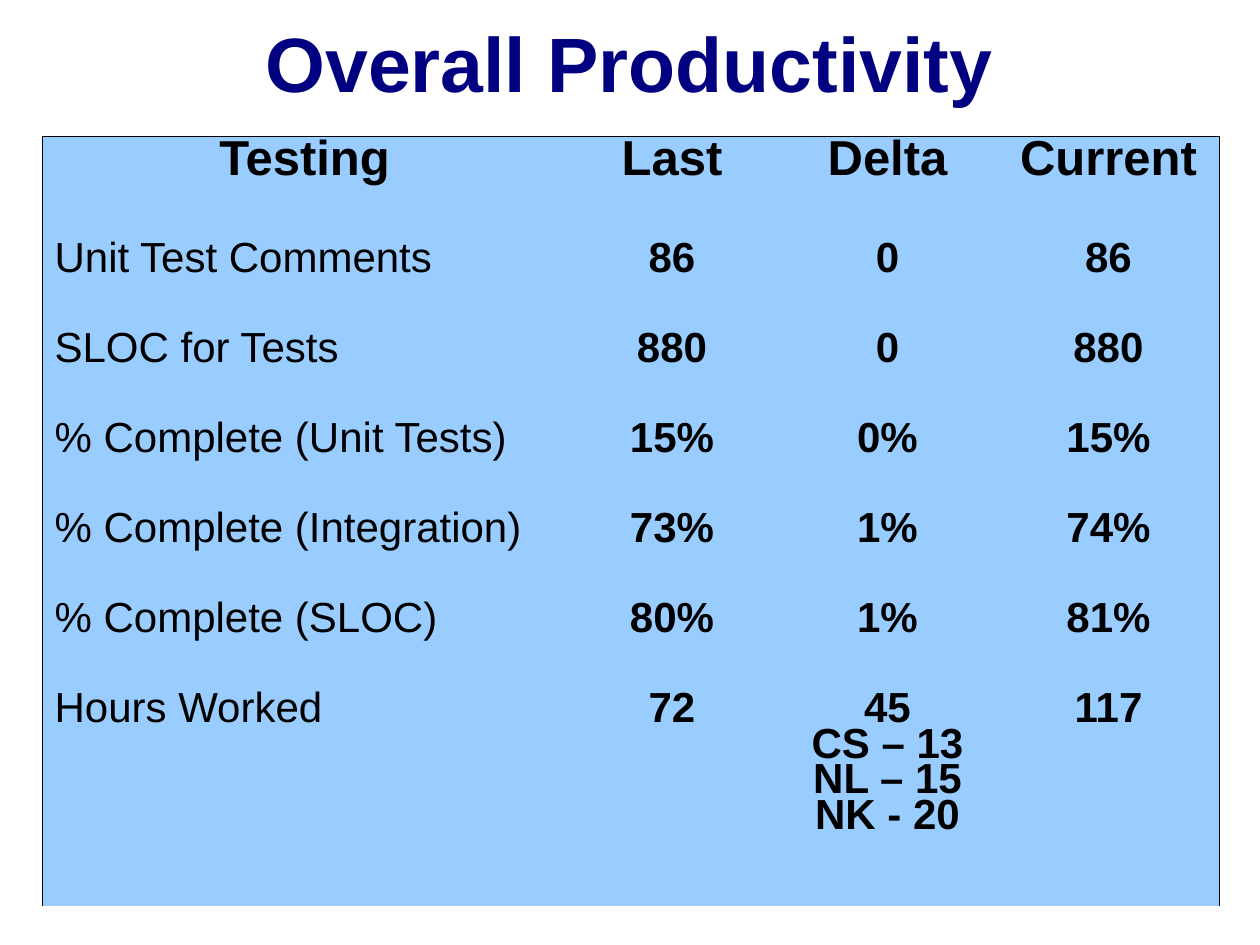
from lxml import etree
from pptx import Presentation
from pptx import util as u
from pptx.dml import color
from pptx.enum import text
from pptx.oxml import ns

SCALE = 914400 / 126
INK, NAVY, SKY = "000000", "000080", "99CCFF"
SIDES = ("L", "R", "T", "B")
COLUMN_WIDTHS = [525, 210, 221, 221]
ROW_HEIGHTS = [102] + [90] * 5 + [218]
ROWS = [
    ["Testing", "Last", "Delta", "Current"],
    ["Unit Test Comments", "86", "0", "86"],
    ["SLOC for Tests", "880", "0", "880"],
    ["% Complete (Unit Tests)", "15%", "0%", "15%"],
    ["% Complete (Integration)", "73%", "1%", "74%"],
    ["% Complete (SLOC)", "80%", "1%", "81%"],
    ["Hours Worked", "72", "45\nCS – 13\nNL – 15\nNK - 20", "117"],
]
CENTER, LEFT = text.PP_ALIGN.CENTER, text.PP_ALIGN.LEFT
TITLE = {"size": u.Pt(44), "bold": True}
HEADER = {"size": u.Pt(28), "bold": True}
LABEL = {"size": u.Pt(24), "bold": False}
VALUE = {"size": u.Pt(24), "bold": True}


def px(length):
    """Turn pixels into EMU."""
    return u.Emu(round(length * SCALE))


def rgb(value):
    """Turn a hex string into a colour."""
    return color.RGBColor.from_string(value)


def write(frame, wording, font, ink, align, spacing=1.0):
    """Write each line of the wording as a formatted paragraph."""
    for index, line in enumerate(wording.split("\n")):
        para = frame.add_paragraph() if index else frame.paragraphs[0]
        para.alignment = align
        para.line_spacing = spacing
        span = para.add_run()
        span.text = line
        for name, value in {"name": "Arial", **font}.items():
            setattr(span.font, name, value)
        span.font.color.rgb = rgb(ink)


def add_title(page, wording):
    """Add the centred title."""
    box = page.shapes.add_textbox(px(94), px(9), px(1071), px(106))
    frame = box.text_frame
    frame.word_wrap = True
    frame.vertical_anchor = text.MSO_ANCHOR.MIDDLE
    write(frame, wording, TITLE, NAVY, CENTER)


def draw_borders(cell, visible):
    """Draw hairlines on the visible sides and clear the others."""
    properties = cell._tc.get_or_add_tcPr()
    for index, side in enumerate(SIDES):
        line = etree.Element(ns.qn(f"a:ln{side}"), w=str(u.Pt(0.06)))
        if side in visible:
            fill = etree.SubElement(line, ns.qn("a:solidFill"))
            etree.SubElement(fill, ns.qn("a:srgbClr"), val=INK)
        else:
            etree.SubElement(line, ns.qn("a:noFill"))
        properties.insert(index, line)


def fill_cell(cell, wording, row, column):
    """Format one cell by its place in the table."""
    cell.fill.solid()
    cell.fill.fore_color.rgb = rgb(SKY)
    font = HEADER if row == 0 else VALUE if column else LABEL
    align = LEFT if font is LABEL else CENTER
    write(cell.text_frame, wording, font, INK, align, 0.76)
    edges = {"T": row == 0, "L": column == 0,
             "R": column == len(COLUMN_WIDTHS) - 1}
    draw_borders(cell, [side for side, outer in edges.items() if outer])


def add_productivity_table(page):
    """Add the table of testing figures."""
    table = page.shapes.add_table(
        len(ROWS), len(COLUMN_WIDTHS), px(42), px(136),
        px(sum(COLUMN_WIDTHS)), px(sum(ROW_HEIGHTS))).table
    table.first_row = table.horz_banding = False
    for column, width in zip(table.columns, COLUMN_WIDTHS):
        column.width = px(width)
    for row, height in zip(table.rows, ROW_HEIGHTS):
        row.height = px(height)
    for row, wordings in enumerate(ROWS):
        for column, wording in enumerate(wordings):
            fill_cell(table.cell(row, column), wording, row, column)


def main():
    """Build and save the slide."""
    deck = Presentation()
    deck.slide_width, deck.slide_height = px(1260), px(945)
    page = deck.slides.add_slide(deck.slide_layouts[6])
    add_title(page, "Overall Productivity")
    add_productivity_table(page)
    deck.save("out.pptx")


if __name__ == "__main__":
    main()
